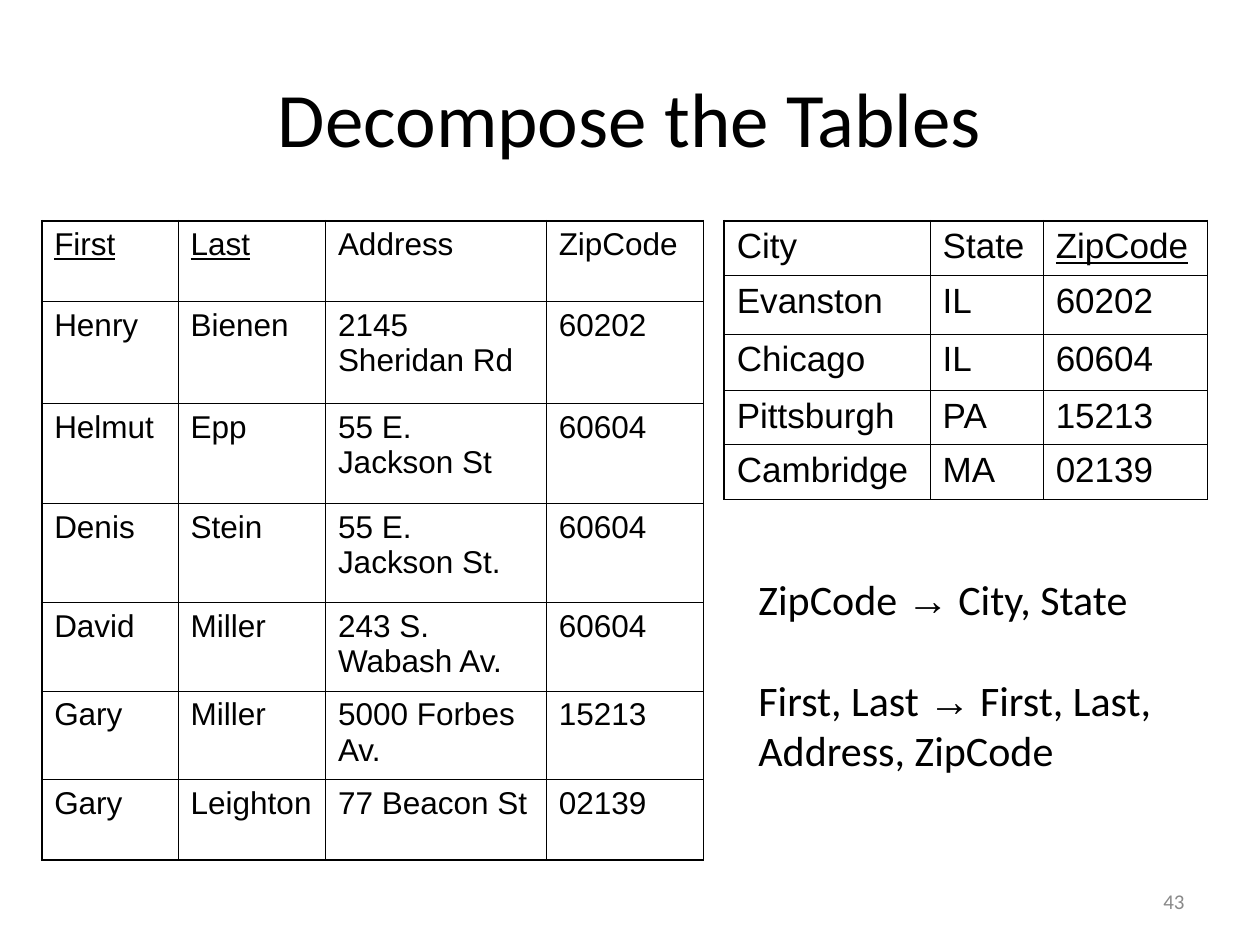
from dataclasses import dataclass

from lxml import etree
from pptx import Presentation
from pptx import util as u
from pptx.dml import color
from pptx.enum import text
from pptx.oxml import ns


@dataclass(frozen=True)
class Theme:
    ink: str = "000000"
    muted: str = "898989"
    heading: str = "Calibri"
    body: str = "Arial"
    title_size: int = 44
    note_size: int = 24
    number_size: int = 12
    thin: float = 0.45
    thick: float = 1.08


theme = Theme()


def add_run(p, words, **formats):
    r = p.add_run()
    r.text = words
    rgb = formats.pop("rgb", theme.ink)
    r.font.color.rgb = color.RGBColor.from_string(rgb)
    formats["size"] = u.Pt(formats["size"])
    for name, value in formats.items():
        setattr(r.font, name, value)


def add_border(cell, position, side, width):
    ln = etree.Element(ns.qn(f"a:ln{side}"), w=str(int(u.Pt(width))))
    fill = etree.SubElement(ln, ns.qn("a:solidFill"))
    etree.SubElement(fill, ns.qn("a:srgbClr"), val=theme.ink)
    cell._tc.get_or_add_tcPr().insert(position, ln)


prs = Presentation()
prs.slide_width, prs.slide_height = u.Cm(25.4), u.Cm(19.05)
s = prs.slides.add_slide(prs.slide_layouts[6])

# Tables: people on the left, zip codes on the right; keys are underlined
tables = [
    {
        "left": 14.6, "size": 20, "keys": {"ZipCode"},
        "cols": [4.15, 2.28, 3.31],
        "heights": [1.11, 1.17, 1.14, 1.09, 1.11],
        "rows": [
            ["City", "State", "ZipCode"],
            ["Evanston", "IL", "60202"],
            ["Chicago", "IL", "60604"],
            ["Pittsburgh", "PA", "15213"],
            ["Cambridge", "MA", "02139"],
        ],
    },
    {
        "left": 0.84, "size": 18, "keys": {"First", "Last"},
        "cols": [2.75, 2.97, 4.45, 3.17],
        "heights": [1.63, 2.06, 2.01, 2, 1.78, 1.78, 1.63],
        "rows": [
            ["First", "Last", "Address", "ZipCode"],
            ["Henry", "Bienen", "2145 Sheridan Rd", "60202"],
            ["Helmut", "Epp", "55 E. Jackson St", "60604"],
            ["Denis", "Stein", "55 E. Jackson St.", "60604"],
            ["David", "Miller", "243 S. Wabash Av.", "60604"],
            ["Gary", "Miller", "5000 Forbes Av.", "15213"],
            ["Gary", "Leighton", "77 Beacon St", "02139"],
        ],
    },
]
for t in tables:
    rows, cols, heights = t["rows"], t["cols"], t["heights"]
    table = s.shapes.add_table(
        len(rows), len(cols), u.Cm(t["left"]), u.Cm(4.45),
        u.Cm(sum(cols)), u.Cm(sum(heights))).table
    table.first_row = table.horz_banding = False
    for column, width in zip(table.columns, cols):
        column.width = u.Cm(width)
    for row, height in zip(table.rows, heights):
        row.height = u.Cm(height)
    for i, values in enumerate(rows):
        for j, value in enumerate(values):
            cell = table.cell(i, j)
            cell.fill.background()
            add_run(cell.text_frame.paragraphs[0], value, name=theme.body,
                    size=t["size"], underline=i == 0 and value in t["keys"])
            # The outer frame is thicker than the inner grid
            outer = {"L": j == 0, "R": j == len(cols) - 1,
                     "T": i == 0, "B": i == len(rows) - 1}
            for position, (side, is_outer) in enumerate(outer.items()):
                add_border(cell, position, side,
                           theme.thick if is_outer else theme.thin)

# Title, functional dependencies and slide number
arrow = "→"
boxes = [
    {"at": (1.27, 0.76, 22.86, 3.18), "size": theme.title_size,
     "anchor": text.MSO_ANCHOR.MIDDLE, "align": text.PP_ALIGN.CENTER,
     "lines": [["Decompose the Tables"]]},
    {"at": (15.04, 11.43, 9.53, 5.33), "size": theme.note_size,
     "anchor": text.MSO_ANCHOR.TOP, "align": text.PP_ALIGN.LEFT,
     "lines": [["ZipCode ", arrow, " City, State"],
               ["First, Last ", arrow, " First, Last, Address, ZipCode"]]},
    {"at": (18.2, 17.65, 5.93, 1.02), "size": theme.number_size,
     "anchor": text.MSO_ANCHOR.MIDDLE, "align": text.PP_ALIGN.RIGHT,
     "rgb": theme.muted, "lines": [["43"]]},
]
for box in boxes:
    tf = s.shapes.add_textbox(*map(u.Cm, box["at"])).text_frame
    tf.word_wrap = True
    tf.vertical_anchor = box["anchor"]
    for i, pieces in enumerate(box["lines"]):
        p = tf.add_paragraph() if i else tf.paragraphs[0]
        p.alignment = box["align"]
        if i:
            p.space_before = u.Pt(29)
        for piece in pieces:
            add_run(p, piece, size=box["size"], rgb=box.get("rgb", theme.ink),
                    name=theme.body if piece == arrow else theme.heading)

prs.save("out.pptx")
